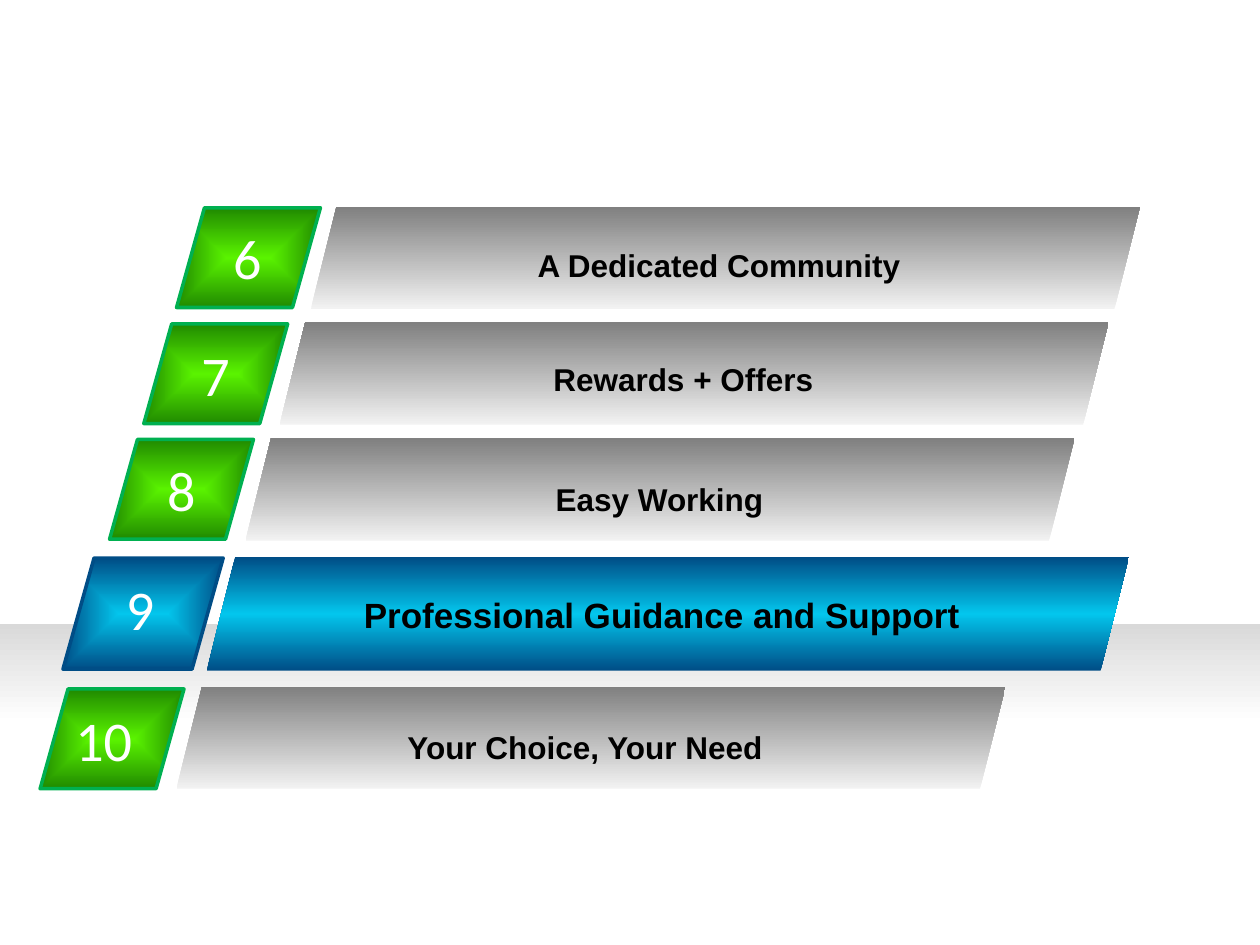
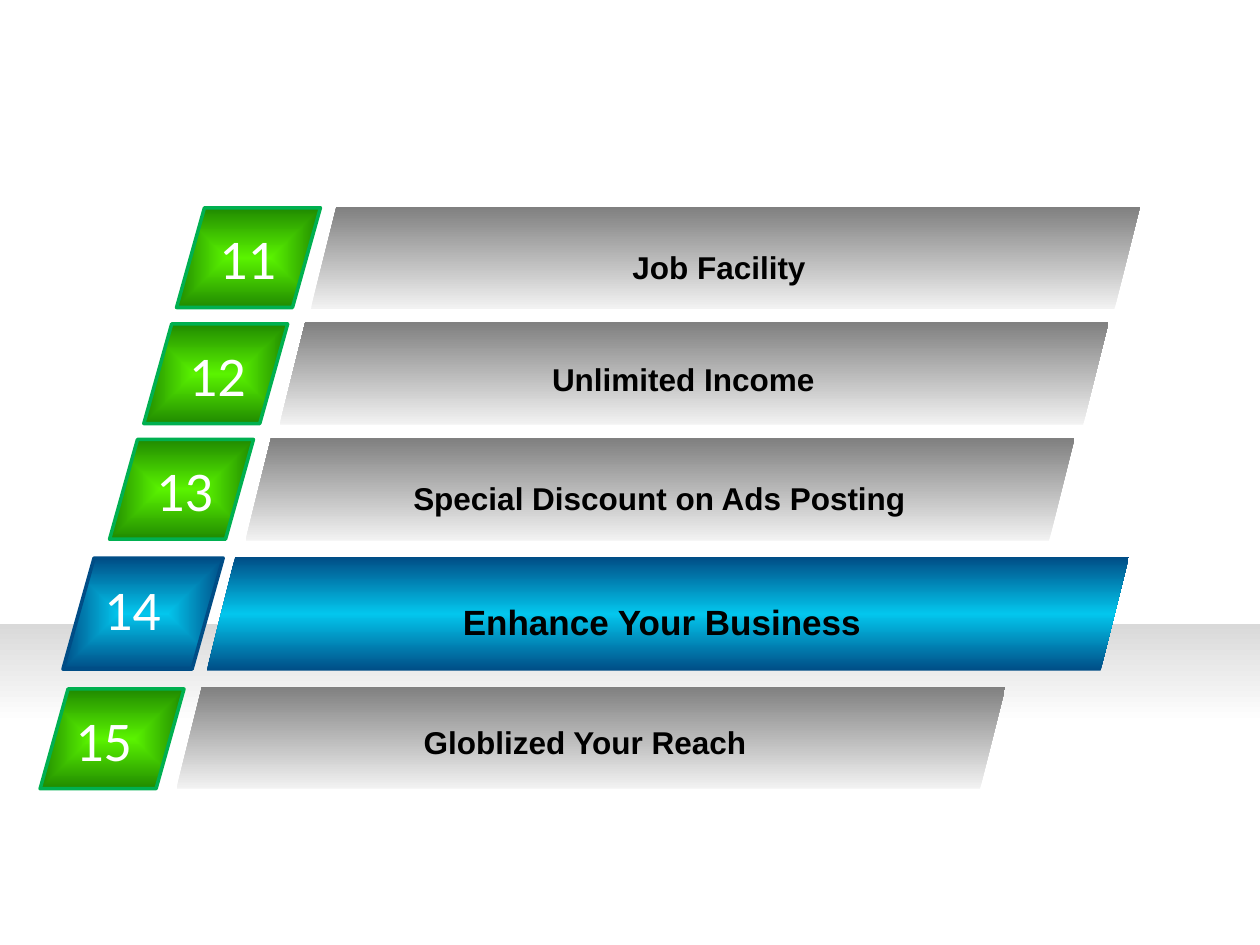
"""Build two slides of slanted, numbered benefit bars."""
from lxml import etree
from pptx import Presentation
from pptx.dml.color import RGBColor
from pptx.enum.shapes import MSO_SHAPE as SHAPE
from pptx.enum.text import MSO_AUTO_SIZE as AUTO, PP_ALIGN as ALIGN
from pptx.oxml.ns import nsdecls
from pptx.util import Cm, Pt

GREEN = [(0, "5AF300"), (100, "208A00")]
BLUE = [(0, "03C6ED"), (100, "004D86")]
GREY_BAR = [(0, "F2F2F2"), (100, "808080")]
BLUE_BAR = [(0, "004D86"), (50, "03C6ED"), (100, "004D86")]
FLOOR = [(61, "FFFFFF"), (100, "D9D9D9")]
UPWARD = '<a:lin ang="16200000" scaled="0"/>'
FROM_CENTRE = ('<a:path path="shape"><a:fillToRect l="50000" t="50000" '
               'r="50000" b="50000"/></a:path>')

# tile left, tile top, bar left, bar top, label left
ROWS = [
    (3.56, 4.19, 6.27, 4.17, 6.99),
    (2.9, 6.53, 5.64, 6.5, 6.27),
    (2.21, 8.86, 4.95, 8.84, 5.79),
    (1.27, 11.25, 4.17, 11.23, 5),
    (0.81, 13.89, 3.56, 13.84, 4.29),
]
HIGHLIGHT = 3

# number, number left, number width, label, label top
SLIDES = [
    [
        ("6", 4.45, 1.09, "A Dedicated Community", 4.83),
        ("7", 3.81, 1.09, "Rewards + Offers", 7.14),
        ("8", 3.12, 1.09, "Easy Working", 9.55),
        ("9", 2.29, 1.22, "Professional Guidance and Support", 11.84),
        ("10", 1.27, 2.24, "Your Choice, Your Need", 14.55),
    ],
    [
        ("11", 4.17, 2.11, "Job Facility", 4.88),
        ("12", 3.56, 2.08, "Unlimited Income", 7.14),
        ("13", 2.9, 2.03, "Special Discount on Ads Posting", 9.53),
        ("14", 1.85, 2.31, "Enhance Your Business", 11.99),
        ("15", 1.27, 2.24, "Globlized Your Reach", 14.45),
    ],
]


def add_gradient_shape(s, kind, box, stops, direction):
    sp = s.shapes.add_shape(kind, *map(Cm, box))
    sp.shadow.inherit = False
    sp.line.fill.background()
    sp.fill.solid()
    gs = "".join(f'<a:gs pos="{pos * 1000}"><a:srgbClr val="{color}"/></a:gs>'
                 for pos, color in stops)
    grad = etree.fromstring(f'<a:gradFill {nsdecls("a")} rotWithShape="1">'
                            f'<a:gsLst>{gs}</a:gsLst>{direction}</a:gradFill>')
    spPr = sp.element.spPr
    spPr.replace(spPr.find("{*}solidFill"), grad)
    return sp


def add_text(s, box, text, font, size, color, bold=False, align=ALIGN.LEFT):
    tf = s.shapes.add_textbox(*map(Cm, box)).text_frame
    tf.word_wrap = True
    tf.auto_size = AUTO.SHAPE_TO_FIT_TEXT
    p = tf.paragraphs[0]
    p.text = text
    p.alignment = align
    p.font.name, p.font.size, p.font.bold = font, Pt(size), bold
    p.font.color.rgb = RGBColor.from_string(color)


prs = Presentation()
prs.slide_width, prs.slide_height = Cm(25.4), Cm(19.05)

for items in SLIDES:
    s = prs.slides.add_slide(prs.slide_layouts[6])
    add_gradient_shape(s, SHAPE.RECTANGLE, (0, 12.57, 25.4, 5.13), FLOOR, UPWARD)
    for i, (row, item) in enumerate(zip(ROWS, items)):
        tile_x, tile_y, bar_x, bar_y, label_x = row
        number, number_x, number_w, label, label_y = item
        if i == HIGHLIGHT:
            tile_size, tile_fill, edge = (3.23, 2.24), BLUE, "004D86"
            bar_size, bar_fill = (18.59, 2.29), BLUE_BAR
            label_size, label_pt = (16.69, 1.12), 20
        else:
            tile_size, tile_fill, edge = (2.9, 2.01), GREEN, "00B050"
            bar_size, bar_fill = (16.71, 2.06), GREY_BAR
            label_size, label_pt = (15.01, 1.02), 18

        tile = add_gradient_shape(s, SHAPE.PARALLELOGRAM, (tile_x, tile_y, *tile_size),
                                  tile_fill, FROM_CENTRE)
        tile.adjustments[0] = 0.28
        tile.line.color.rgb = RGBColor.from_string(edge)
        tile.line.width = Pt(2)
        add_text(s, (number_x, tile_y + 0.2, number_w, 1.63), number,
                 "Calibri", 32, "FFFFFF")
        add_gradient_shape(s, SHAPE.PARALLELOGRAM, (bar_x, bar_y, *bar_size),
                           bar_fill, UPWARD)
        add_text(s, (label_x, label_y, *label_size), label,
                 "Arial", label_pt, "000000", True, ALIGN.CENTER)

prs.save("out.pptx")
